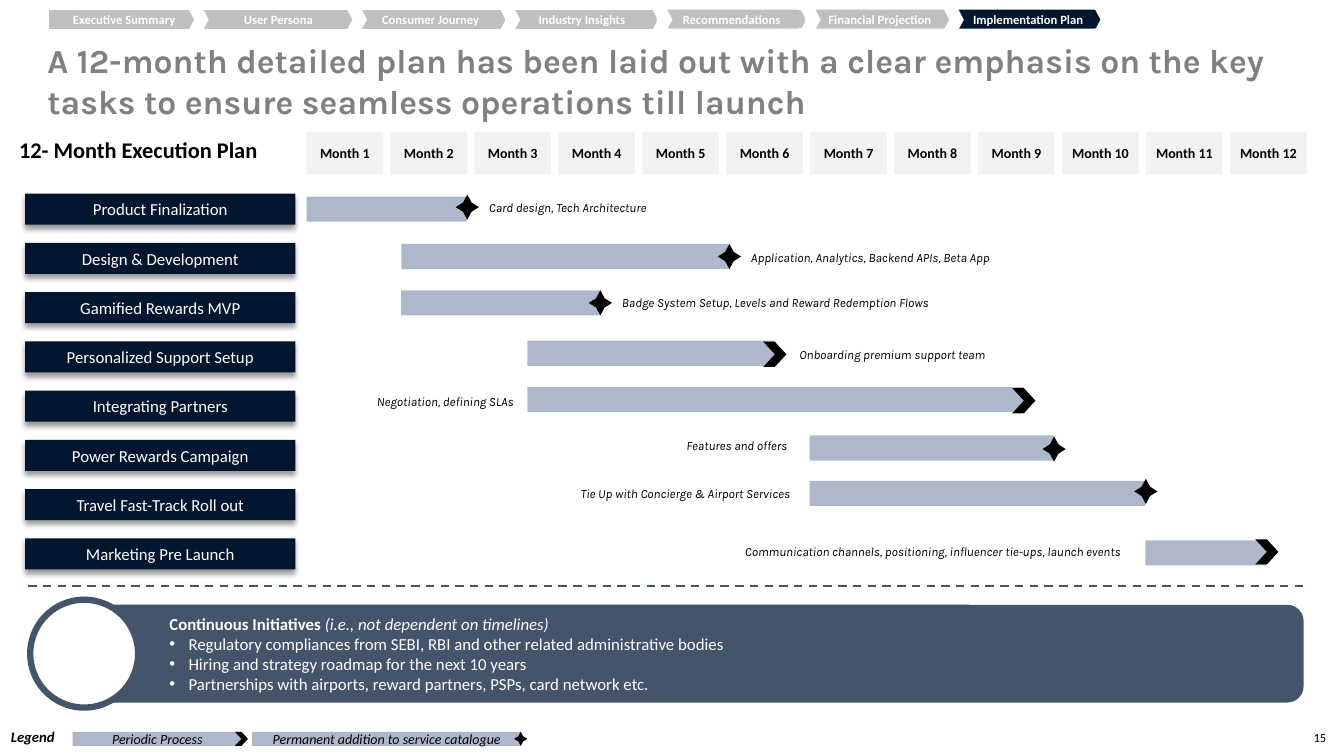
from lxml import etree
from pptx import Presentation
from pptx.dml.color import RGBColor
from pptx.enum.dml import MSO_LINE
from pptx.enum.shapes import MSO_CONNECTOR, MSO_SHAPE
from pptx.enum.text import MSO_ANCHOR, MSO_AUTO_SIZE, PP_ALIGN
from pptx.oxml import parse_xml
from pptx.oxml.ns import nsdecls, qn
from pptx.util import Inches, Pt

RECT, ROUND, OVAL = MSO_SHAPE.RECTANGLE, MSO_SHAPE.ROUNDED_RECTANGLE, MSO_SHAPE.OVAL
STAR, CHEVRON = MSO_SHAPE.STAR_4_POINT, MSO_SHAPE.CHEVRON
TAB = MSO_SHAPE.ROUND_2_SAME_RECTANGLE
LEFT, CENTER = PP_ALIGN.LEFT, PP_ALIGN.CENTER
TOP, MIDDLE = MSO_ANCHOR.TOP, MSO_ANCHOR.MIDDLE
FIXED = MSO_AUTO_SIZE.NONE

BLACK = RGBColor(0x00, 0x00, 0x00)
WHITE = RGBColor(0xFF, 0xFF, 0xFF)
NAVY = RGBColor(0x00, 0x16, 0x2F)
SLATE = RGBColor(0x44, 0x54, 0x6A)
BLUE = RGBColor(0xAD, 0xB9, 0xCA)
PALE = RGBColor(0xF2, 0xF2, 0xF2)
SILVER = RGBColor(0xBF, 0xBF, 0xBF)
GRAY = RGBColor(0x80, 0x80, 0x80)

SHADOW = (f'<a:outerShdw {nsdecls("a")} blurRad="50800" dist="38100" dir="5400000">'
          '<a:srgbClr val="000000"><a:alpha val="40000"/></a:srgbClr></a:outerShdw>')

deck = Presentation()
deck.slide_width, deck.slide_height = Inches(13.33), Inches(7.5)
slide = deck.slides.add_slide(deck.slide_layouts[1])
shapes = slide.shapes


def draw(kind, x, y, w, h, fill):
    """Add a flat shape without outline; a star gets its wider waist."""
    shape = shapes.add_shape(kind, Inches(x), Inches(y), Inches(w), Inches(h))
    shape.shadow.inherit = False
    shape.fill.solid()
    shape.fill.fore_color.rgb = fill
    shape.line.fill.background()
    if kind == STAR:
        shape.adjustments[0] = 0.26
    return shape


def write(shape, text, size, color=BLACK, bold=False, italic=False,
          name="Calibri", align=CENTER, anchor=MIDDLE, side=0.1, wrap=True):
    frame = shape.text_frame
    frame.word_wrap = wrap
    frame.auto_size = FIXED
    frame.vertical_anchor = anchor
    frame.margin_left = frame.margin_right = Inches(side)
    frame.text = text
    for para in frame.paragraphs:
        para.alignment = align
        font = para.font
        font.name, font.size, font.color.rgb = name, Pt(size), color
        font.bold, font.italic = bold, italic


title = shapes.title
title.left, title.top = Inches(0.37), Inches(0.35)
title.width, title.height = Inches(12.72), Inches(0.91)
write(title, "A 12-month detailed plan has been laid out with a clear emphasis on the key "
      "tasks to ensure seamless operations till launch", 24, GRAY, bold=True,
      name="Karla", align=LEFT, anchor=TOP)

# Section tabs: bars turned on their side, each cut by a white chevron
tabs = [("Executive Summary", 1.23, 0, 1.87), ("User Persona", 2.76, 0, 3.44),
        ("Consumer Journey", 4.27, 0, 4.96), ("Industry Insights", 5.77, 0, 6.47),
        ("Recommendations", 7.27, 0.5, 7.94), ("Financial Projection", 8.74, 0.5, 9.36),
        ("Implementation Plan", 10.21, 0.5, 10.86)]
for text, mid, curve, cut in tabs:
    fill = NAVY if text == tabs[-1][0] else SILVER
    tab = draw(TAB, mid - 0.1, -0.56, 0.2, 1.5, fill)
    tab.rotation = 90
    tab.adjustments[0] = curve
    tab.line.color.rgb = WHITE
    tab.line.width = Pt(1)
    write(tab, text, 9, WHITE, bold=True, side=0)
    tab.text_frame.margin_top = tab.text_frame.margin_bottom = 0
    tab.text_frame._txBody.bodyPr.set("vert", "vert270")
for text, mid, curve, cut in tabs:
    draw(CHEVRON, cut, 0.09, 0.2, 0.21, WHITE).adjustments[0] = 0.28

# Month header
for i in range(12):
    month = draw(RECT, 3.04 + i * 9.16 / 11, 1.31, 0.76, 0.42, PALE)
    write(month, f"Month {i + 1}", 10, bold=True, side=0)

# Tasks: label, bar (left, top, width), mark (kind, top), note (text, left, top, width)
tasks = [
    ("Product Finalization", (3.04, 1.95, 1.59), (STAR, 1.93),
     ("Card design, Tech Architecture", 4.75, 1.93, 2.63)),
    ("Design & Development", (3.98, 2.42, 3.25), (STAR, 2.42),
     ("Application, Analytics, Backend APIs, Beta App", 7.35, 2.43, 3.65)),
    ("Gamified Rewards MVP", (3.98, 2.88, 1.97), (STAR, 2.88),
     ("Badge System Setup, Levels and Reward Redemption Flows", 6.07, 2.88, 3.65)),
    ("Personalized Support Setup", (5.23, 3.38, 2.45), (CHEVRON, 3.39),
     ("Onboarding premium support team", 7.83, 3.39, 3.65)),
    ("Integrating Partners", (5.23, 3.84, 4.92), (CHEVRON, 3.85),
     ("Negotiation, defining SLAs", 3.64, 3.86, 3.65)),
    ("Power Rewards Campaign", (8.03, 4.32, 2.42), (STAR, 4.33),
     ("Features and offers", 6.71, 4.29, 3.65)),
    ("Travel Fast-Track Roll out", (8.03, 4.77, 3.33), (STAR, 4.75),
     ("Tie Up with Concierge & Airport Services", 5.66, 4.77, 3.65)),
    ("Marketing Pre Launch", (11.36, 5.36, 1.2), (CHEVRON, 5.35),
     ("Communication channels, positioning, influencer tie-ups, launch events",
      7.29, 5.35, 4.82)),
]
for i, (text, (x, y, w), (mark, high), (note, left, top, wide)) in enumerate(tasks):
    label = draw(RECT, 0.25, 1.92 + i * 3.42 / 7, 2.68, 0.31, NAVY)
    label._element.spPr.find(qn("a:effectLst")).append(parse_xml(SHADOW))
    write(label, text, 12, WHITE)
    draw(RECT, x, y, w, 0.25, BLUE)
    draw(mark, x + w - 0.11, high, 0.23, 0.25, BLACK)
    box = shapes.add_textbox(Inches(left), Inches(top), Inches(wide), Inches(0.25))
    write(box, note, 9, italic=True, name="Karla", align=LEFT, anchor=TOP)

rule = shapes.add_connector(MSO_CONNECTOR.STRAIGHT, Inches(0.28), Inches(5.81),
                            Inches(12.98), Inches(5.81))
rule.line.color.rgb = SLATE
rule.line.width = Pt(1.5)
rule.line.dash_style = MSO_LINE.DASH
etree.SubElement(rule._element.spPr, qn("a:effectLst"))

# Continuous initiatives
draw(ROUND, 0.73, 6, 12.2, 0.97, SLATE)
ring = draw(OVAL, 0.3, 5.95, 1.07, 1.07, WHITE)
ring.line.color.rgb = SLATE
ring.line.width = Pt(4.5)

body = slide.placeholders[1]
body.left, body.top = Inches(1.58), Inches(6)
body.width, body.height = Inches(11.3), Inches(0.97)
write(body, "\n".join([
    "",
    "Regulatory compliances from SEBI, RBI and other related administrative bodies",
    "Hiring and strategy roadmap for the next 10 years",
    "Partnerships with airports, reward partners, PSPs, card network etc."]),
    12, WHITE, align=LEFT)
head, *items = body.text_frame.paragraphs
for para in (head, *items):
    para.space_before = Pt(0)
    props = para._p.get_or_add_pPr()
    hang = 0 if para is head else Inches(0.19)
    props.set("marL", str(hang))
    props.set("indent", str(-hang))
    bullet = "<a:buNone {}/>" if para is head else '<a:buChar {} char="•"/>'
    props.find(qn("a:defRPr")).addprevious(parse_xml(bullet.format(nsdecls("a"))))
for text, strong in (("Continuous Initiatives ", True),
                     ("(i.e., not dependent on timelines)", False)):
    run = head.add_run()
    run.text = text
    run.font.bold, run.font.italic = strong, not strong
shapes._spTree.append(body._element)

# Legend
for text, x, w, mark in (("Periodic Process", 0.72, 1.68, CHEVRON),
                         ("Permanent addition to service catalogue", 2.5, 2.67, STAR)):
    write(draw(RECT, x, 7.26, w, 0.14, BLUE), text, 10, italic=True, side=0)
    draw(mark, x + w - 0.07, 7.26, 0.13, 0.14, BLACK)

# Loose labels
for text, x, y, w, h, size, bold, italic, wrap in (
        ("12- Month Execution Plan", 0.09, 1.3, 3.08, 0.37, 16, True, False, True),
        ("Legend", 0.01, 7.17, 0.65, 0.29, 10.5, True, True, False),
        ("15", 12.93, 7.19, 0.33, 0.25, 9, False, False, False)):
    box = shapes.add_textbox(Inches(x), Inches(y), Inches(w), Inches(h))
    write(box, text, size, bold=bold, italic=italic, align=LEFT, anchor=TOP, wrap=wrap)

deck.save("out.pptx")
